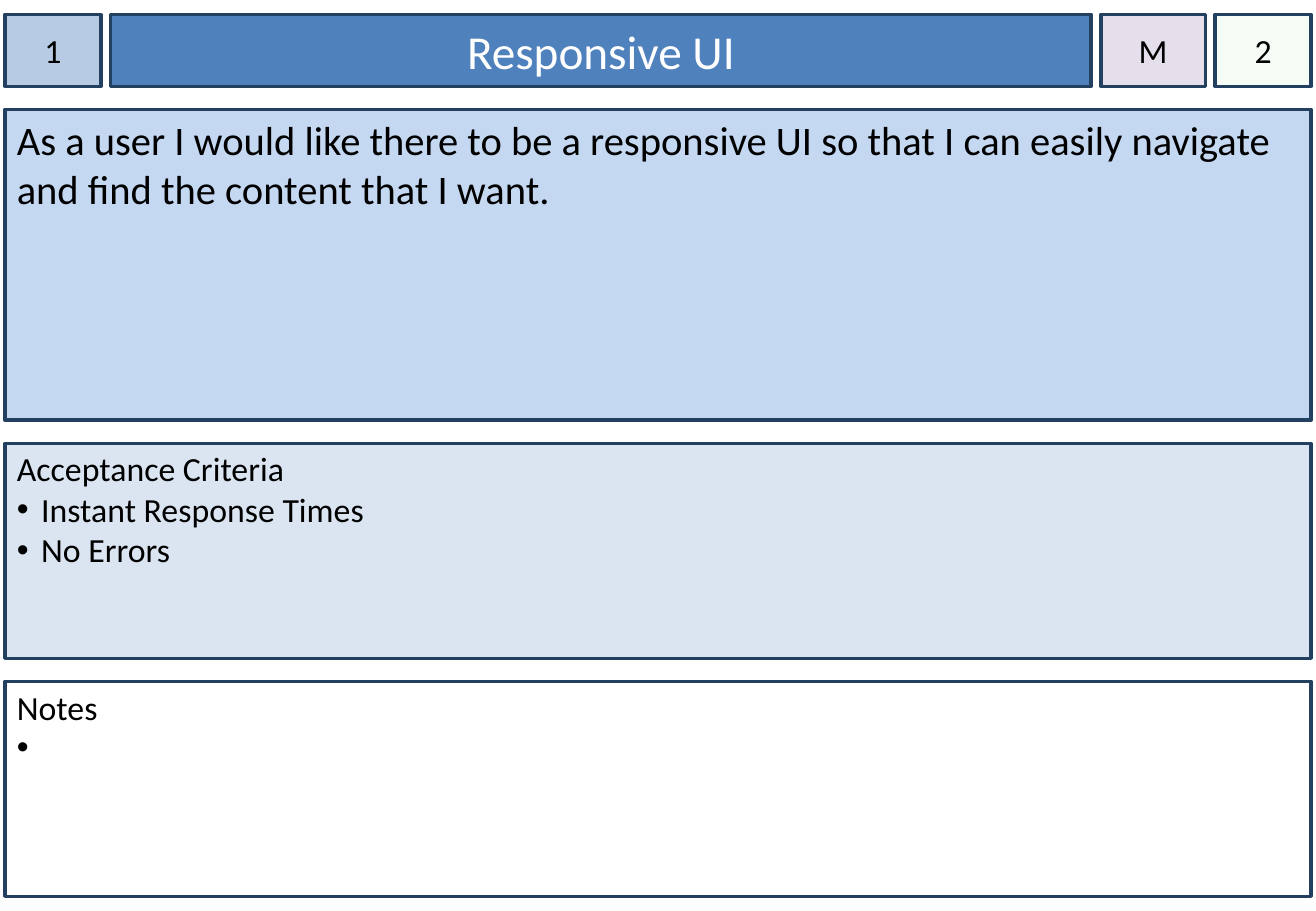
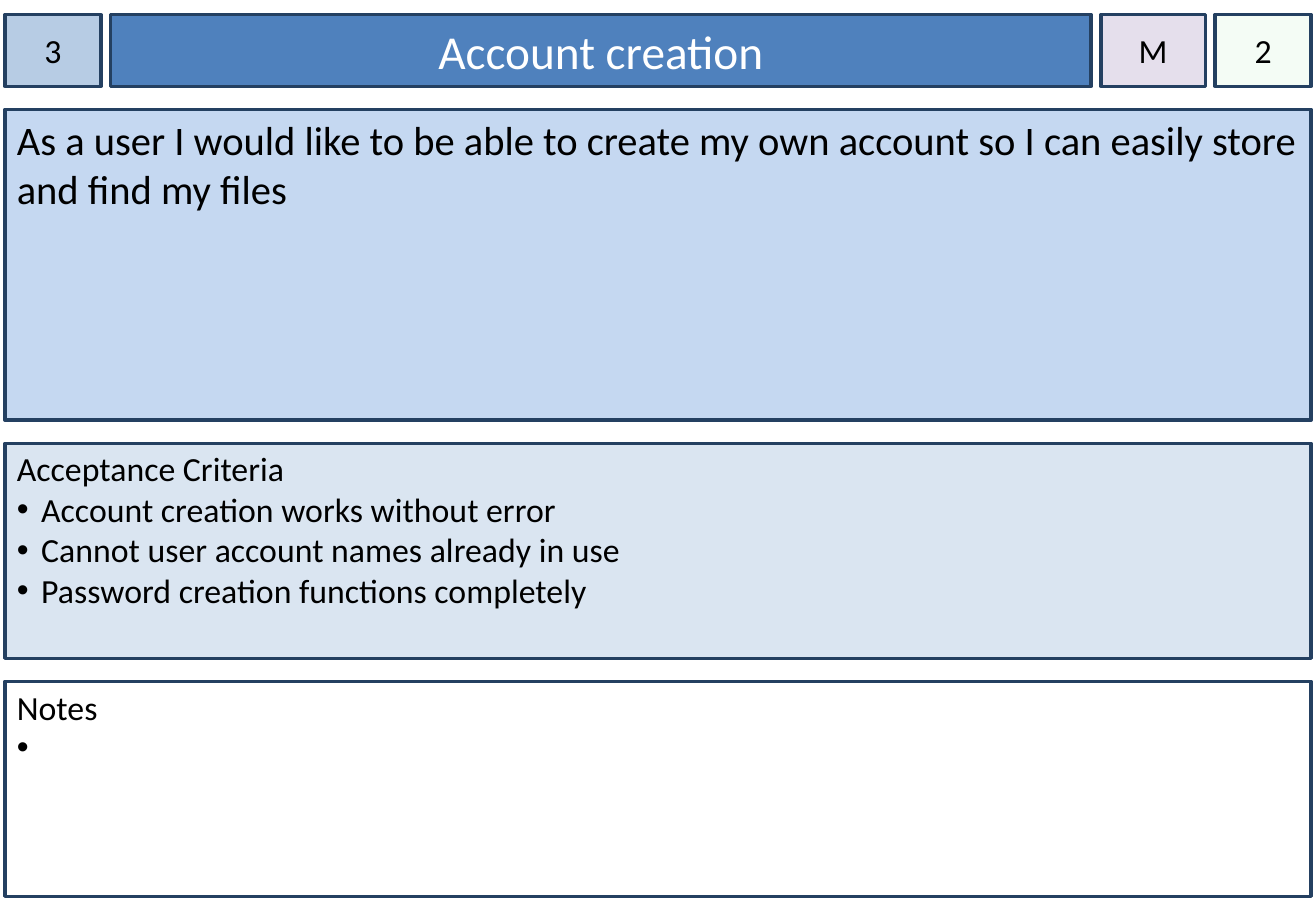
from itertools import accumulate

from pptx import Presentation
from pptx.dml.color import RGBColor
from pptx.enum.shapes import MSO_SHAPE
from pptx.enum.text import MSO_ANCHOR, PP_ALIGN
from pptx.oxml.ns import qn
from pptx.util import Inches, Pt
from lxml import etree

RECT = MSO_SHAPE.RECTANGLE
TOP, MIDDLE = MSO_ANCHOR.TOP, MSO_ANCHOR.MIDDLE
LEFT, CENTER = PP_ALIGN.LEFT, PP_ALIGN.CENTER

# Shared style
FONT = "Calibri"
INK, WHITE, EDGE = "000000", "FFFFFF", "244061"
BADGE, TITLE, STORY, TESTS = "B7CCE4", "4F81BD", "C5D8F1", "DAE5F1"
RANK, POINTS = "E5DFEC", "CCF0CD"

# Grid in inches: widths of the header cells, heights of the rows
WIDE, HIGH = 10.83, 7.5
COLS, ROWS = (0.79, 8.07, 0.86, 0.79), (0.59, 2.56, 1.77, 1.77)
SIDE, HEAD = 0.04, 0.12
COL_GAP, ROW_GAP = 0.08, 0.19


def starts(sizes, first, gap):
    return list(accumulate((size + gap for size in sizes), initial=first))


def rgb(code):
    return RGBColor.from_string(code)


class Deck:
    def __init__(self):
        self.prs = Presentation()
        self.prs.slide_width, self.prs.slide_height = Inches(WIDE), Inches(HIGH)
        self.lefts = starts(COLS, SIDE, COL_GAP)
        self.tops = starts(ROWS, HEAD, ROW_GAP)
        self.slide = None

    def new(self):
        self.slide = self.prs.slides.add_slide(self.prs.slide_layouts[6])

    def box(self, col, row, fill, span=1, alpha=None):
        """Draw a framed box over span columns and return its text frame."""
        last = col + span - 1
        width = self.lefts[last] + COLS[last] - self.lefts[col]
        place = (self.lefts[col], self.tops[row], width, ROWS[row])
        shape = self.slide.shapes.add_shape(RECT, *map(Inches, place))
        shape.shadow.inherit = False
        shape.fill.solid()
        shape.fill.fore_color.rgb = rgb(fill)
        if alpha is not None:
            solid = shape.element.spPr.find(qn("a:solidFill"))
            color = solid.find(qn("a:srgbClr"))
            etree.SubElement(color, qn("a:alpha"), val=str(alpha * 1000))
        shape.line.color.rgb = rgb(EDGE)
        shape.line.width = Pt(2)
        frame = shape.text_frame
        frame.word_wrap = True
        return frame

    def label(self, para, text, size, color=INK, align=LEFT):
        para.alignment = align
        run = para.add_run()
        run.text = text
        run.font.name, run.font.size = FONT, Pt(size)
        run.font.color.rgb = rgb(color)

    def bullet(self, para):
        props = para._p.get_or_add_pPr()
        props.set("marL", str(Inches(0.2)))
        props.set("indent", str(Inches(-0.2)))
        tint = etree.SubElement(props, qn("a:buClr"))
        etree.SubElement(tint, qn("a:srgbClr"), val=INK)
        etree.SubElement(props, qn("a:buFont"), typeface="Arial")
        etree.SubElement(props, qn("a:buChar"), char="•")

    def cell(self, col, text, fill, size=20, color=INK, inset=0, alpha=None):
        frame = self.box(col, 0, fill, alpha=alpha)
        frame.vertical_anchor = MIDDLE
        frame.margin_left = frame.margin_right = Inches(inset)
        self.label(frame.paragraphs[0], text, size, color, CENTER)

    def panel(self, row, fill, lines, size=20, inset=0.04, bullets=()):
        frame = self.box(0, row, fill, span=len(COLS))
        frame.vertical_anchor = TOP
        frame.margin_top = Inches(inset)
        for spot, text in enumerate([*lines, *bullets]):
            para = frame.add_paragraph() if spot else frame.paragraphs[0]
            self.label(para, text, size)
            if spot >= len(lines):
                self.bullet(para)

    def card(self, number, title, story, tests, rank="M", points="2"):
        self.new()
        # Header
        self.cell(0, number, BADGE)
        self.cell(1, title, TITLE, size=28, color=WHITE, inset=0.1)
        self.cell(2, rank, RANK)
        self.cell(3, points, POINTS, alpha=20)
        # Body; the single space keeps the empty bullet in view
        self.panel(1, STORY, story, size=24, inset=0.05)
        self.panel(2, TESTS, ["Acceptance Criteria"], bullets=tests)
        self.panel(3, WHITE, ["Notes"], bullets=[" "])


# Story cards
deck = Deck()
deck.card(
    "1", "Responsive UI",
    ["As a user I would like there to be a responsive UI so that I can easily navigate",
     "and find the content that I want."],
    ["Instant Response Times", "No Errors"])
deck.card(
    "3", "Account creation",
    ["As a user I would like to be able to create my own account so I can easily store",
     "and find my files"],
    ["Account creation works without error",
     "Cannot user account names already in use",
     "Password creation functions completely"])
deck.prs.save("out.pptx")
